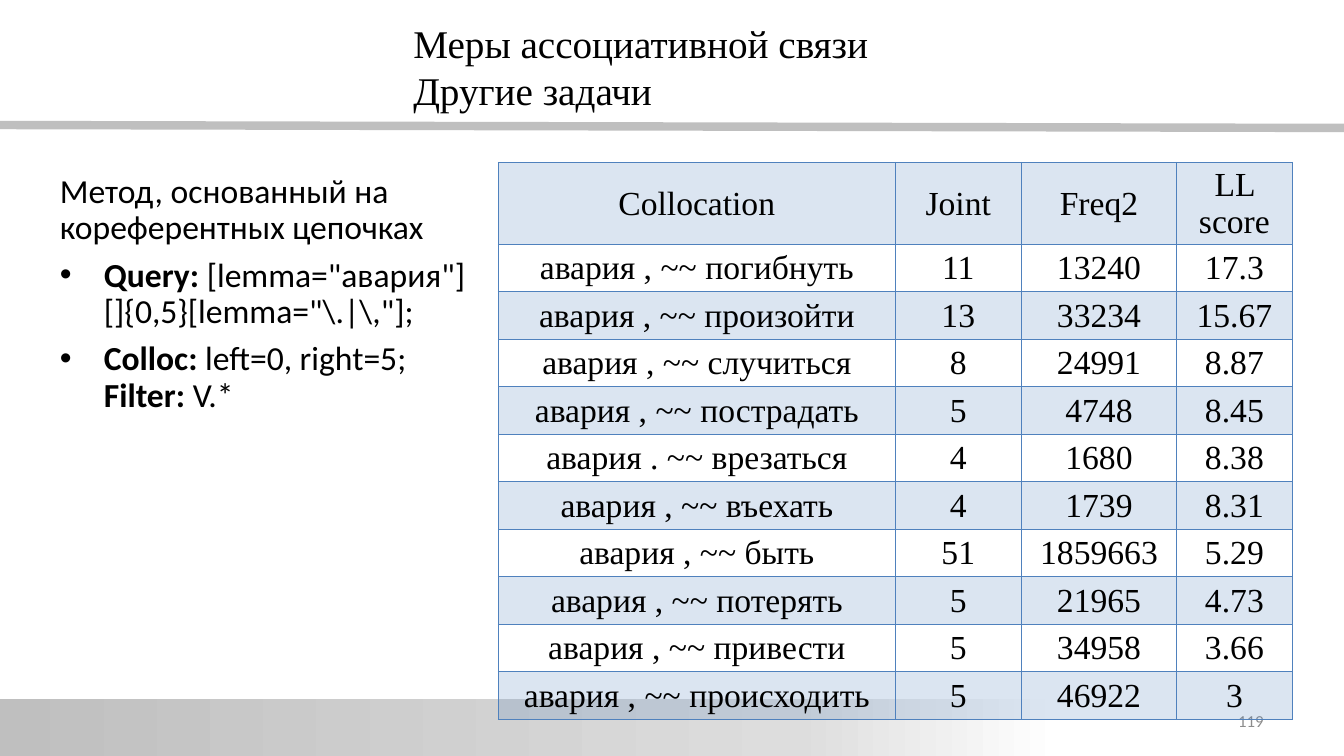
from copy import deepcopy
from dataclasses import dataclass

from lxml.etree import SubElement
from pptx import Presentation
from pptx.dml.color import RGBColor
from pptx.enum.shapes import MSO_CONNECTOR, MSO_SHAPE
from pptx.enum.text import MSO_ANCHOR, MSO_AUTO_SIZE, PP_ALIGN
from pptx.oxml.ns import qn
from pptx.util import Pt

LEFT, CENTER, RIGHT = PP_ALIGN.LEFT, PP_ALIGN.CENTER, PP_ALIGN.RIGHT
TOP, MIDDLE = MSO_ANCHOR.TOP, MSO_ANCHOR.MIDDLE
FIXED = MSO_AUTO_SIZE.NONE
STRAIGHT = MSO_CONNECTOR.STRAIGHT
RECT = MSO_SHAPE.RECTANGLE

TITLE = "Меры ассоциативной связи\nДругие задачи"
METHOD = [
    [("Метод, основанный на кореферентных цепочках", False)],
    [("Query:", True), (' [lemma="авария"][]{0,5}[lemma="\\.|\\,"];', False)],
    [("Colloc:", True), (" left=0, right=5; ", False),
     ("Filter:", True), (" V.*", False)],
]
ROWS = [
    ("Collocation", "Joint", "Freq2", "LL score"),
    ("авария , ~~ погибнуть", "11", "13240", "17.3"),
    ("авария , ~~ произойти", "13", "33234", "15.67"),
    ("авария , ~~ случиться", "8", "24991", "8.87"),
    ("авария , ~~ пострадать", "5", "4748", "8.45"),
    ("авария . ~~ врезаться", "4", "1680", "8.38"),
    ("авария , ~~ въехать", "4", "1739", "8.31"),
    ("авария , ~~ быть", "51", "1859663", "5.29"),
    ("авария , ~~ потерять", "5", "21965", "4.73"),
    ("авария , ~~ привести", "5", "34958", "3.66"),
    ("авария , ~~ происходить", "5", "46922", "3"),
]
NUMBER = "119"
WIDTHS = (283.5, 90, 111, 82.5)
HEAD, LINE = 29.5, 33.95


@dataclass(frozen=True)
class Theme:
    serif: str = "Times New Roman"
    sans: str = "Calibri"
    title: int = 28
    body: int = 24
    small: int = 12
    ink: str = "000000"
    grey: str = "8C8C8C"
    rule: str = "BFBFBF"
    blue: str = "4F81BD"
    fade: tuple = ((0, "BFBFBF"), (0.75, "DDDDDD"), (1, "FFFFFF"))


THEME = Theme()


def color(code):
    return RGBColor.from_string(code)


def place(shape, left, top, width, height):
    shape.left, shape.top = Pt(left), Pt(top)
    shape.width, shape.height = Pt(width), Pt(height)


def style(para, face, size, ink, align):
    para.alignment = align
    for run in para.runs:
        run.font.name = face
        run.font.size = Pt(size)
        run.font.color.rgb = color(ink)


def bullet(para):
    props = para._p.get_or_add_pPr()
    tint = SubElement(props, qn("a:buClr"))
    SubElement(tint, qn("a:srgbClr"), val=THEME.ink)
    SubElement(props, qn("a:buFont"), typeface="Arial")
    SubElement(props, qn("a:buChar"), char="•")


def indent(para, margin, first):
    props = para._p.get_or_add_pPr()
    props.set("marL", str(Pt(margin)))
    props.set("indent", str(Pt(first)))


def add_frame(slide):
    rule = slide.shapes.add_connector(STRAIGHT, 0, Pt(89.3), Pt(960), Pt(91.4))
    rule.line.color.rgb = color(THEME.rule)
    rule.line.width = Pt(6)
    SubElement(rule._element.spPr, qn("a:effectLst"))

    band = slide.shapes.add_shape(RECT, Pt(-2), Pt(499), Pt(760), Pt(41))
    band.shadow.inherit = False
    band.line.fill.background()
    band.fill.gradient()
    band.fill.gradient_angle = 0
    stops = next(band._element.spPr.iter(qn("a:gsLst")))
    stops.append(deepcopy(stops[0]))
    for stop, (spot, code) in zip(band.fill.gradient_stops, THEME.fade):
        stop.position = spot
        stop.color.rgb = color(code)


def add_title(slide):
    title = slide.shapes.title
    place(title, 288, 10, 420, 75)
    frame = title.text_frame
    frame.text = TITLE
    frame.auto_size = FIXED
    frame.vertical_anchor = TOP
    for para in frame.paragraphs:
        style(para, THEME.serif, THEME.title, THEME.ink, LEFT)


def add_method(slide):
    body = slide.placeholders[1]
    place(body, 31, 121, 314.5, 337.5)
    frame = body.text_frame
    frame.auto_size = FIXED
    for rank, parts in enumerate(METHOD):
        para = frame.add_paragraph() if rank else frame.paragraphs[0]
        for text, bold in parts:
            run = para.add_run()
            run.text = text
            run.font.bold = bold
        if rank:
            bullet(para)
            indent(para, 36, -31.5)
        else:
            SubElement(para._p.get_or_add_pPr(), qn("a:buNone"))
            indent(para, 4.5, 0)
        para.line_spacing = 0.9
        para.space_before = Pt(8 if rank else 0)
        style(para, THEME.sans, THEME.body, THEME.ink, LEFT)


def paint(cell, shade):
    props = cell._tc.get_or_add_tcPr()
    for side in ("lnL", "lnR", "lnT", "lnB"):
        edge = SubElement(props, qn(f"a:{side}"), w=str(Pt(1)))
        fill = SubElement(edge, qn("a:solidFill"))
        SubElement(fill, qn("a:srgbClr"), val=THEME.blue)
    if shade:
        cell.fill.solid()
        cell.fill.fore_color.rgb = color(THEME.blue)
        tint = props.find(qn("a:solidFill")).find(qn("a:srgbClr"))
        SubElement(tint, qn("a:alpha"), val="20000")
    else:
        cell.fill.background()


def add_scores(slide):
    tall = HEAD + LINE * (len(ROWS) - 1)
    grid = slide.shapes.add_table(len(ROWS), len(WIDTHS), Pt(356), Pt(116),
                                  Pt(sum(WIDTHS)), Pt(tall)).table
    grid.first_row = grid.horz_banding = False
    for col, width in zip(grid.columns, WIDTHS):
        col.width = Pt(width)
    for rank, values in enumerate(ROWS):
        grid.rows[rank].height = Pt(LINE if rank else HEAD)
        for spot, text in enumerate(values):
            cell = grid.cell(rank, spot)
            cell.text_frame.text = text
            cell.vertical_anchor = MIDDLE
            cell.margin_left = cell.margin_right = cell.margin_top = Pt(0.75)
            cell.margin_bottom = 0
            style(cell.text_frame.paragraphs[0], THEME.serif, THEME.body,
                  THEME.ink, CENTER)
            paint(cell, rank % 2 == 0)


def add_number(slide):
    box = slide.shapes.add_textbox(Pt(688), Pt(500.5), Pt(224), Pt(29))
    frame = box.text_frame
    frame.word_wrap = True
    frame.text = NUMBER
    frame.vertical_anchor = MIDDLE
    frame.margin_left = frame.margin_right = Pt(9.4)
    frame.margin_top = frame.margin_bottom = Pt(9.4)
    style(frame.paragraphs[0], THEME.sans, THEME.small, THEME.grey, RIGHT)


def main():
    deck = Presentation()
    deck.slide_width, deck.slide_height = Pt(960), Pt(540)
    slide = deck.slides.add_slide(deck.slide_layouts[1])
    add_frame(slide)
    add_method(slide)
    add_number(slide)
    add_scores(slide)
    add_title(slide)
    deck.save("out.pptx")


if __name__ == "__main__":
    main()
